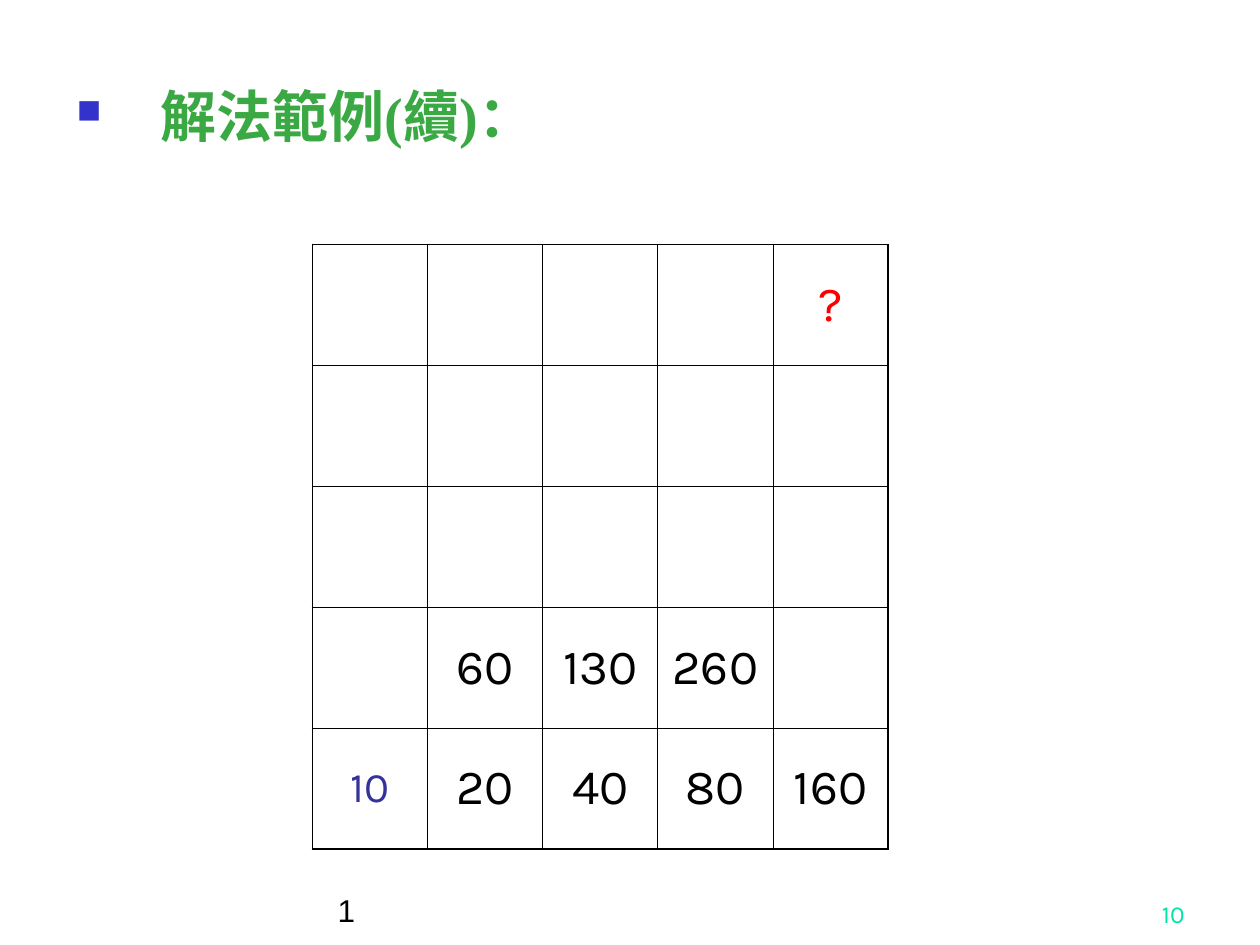
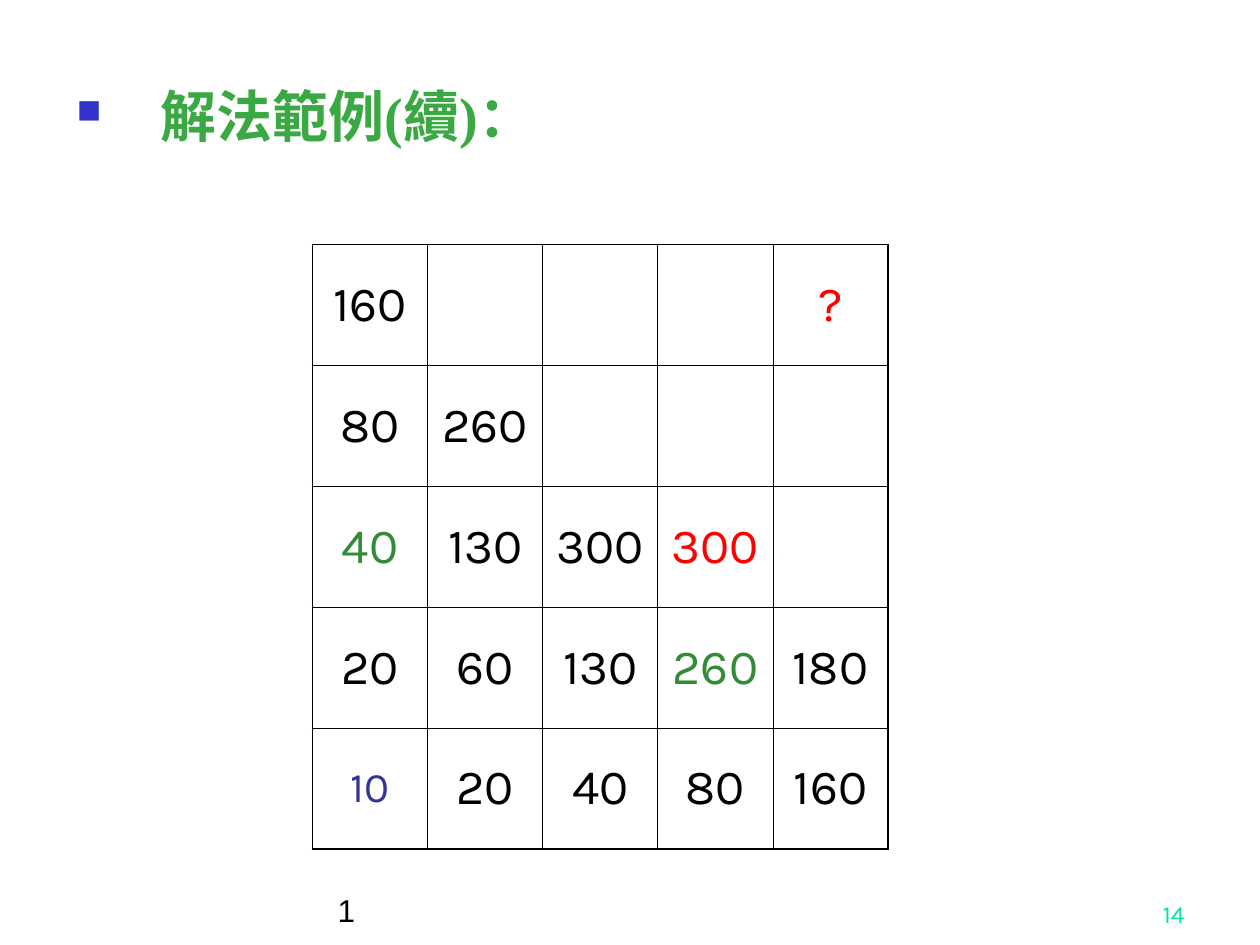
from lxml.etree import SubElement
from pptx import Presentation
from pptx.dml.color import RGBColor
from pptx.enum.text import MSO_ANCHOR, PP_ALIGN
from pptx.oxml.ns import qn
from pptx.util import Pt

BLACK = "000000"
RED = "FF0000"
GREEN = "318B37"
START_BLUE = "333399"
TITLE_GREEN = "3BA943"
BULLET_BLUE = "3333CC"
PAGE_MINT = "00E4A8"

TITLE = "解法範例(續)："
GRID_SIZE = 5
GRID_LEFT, GRID_TOP = 178.5, 139.7
COLUMN_WIDTH, ROW_HEIGHT = 65.8, 69.12
OUTER_LINE, INNER_LINE = 1.08, 0.45
FOOTER_TOP, FOOTER_HEIGHT = 498.2, 36

START_ROW = ["10", "20", "40", "80", "160"]
# Each step: page number, grid values, colours of marked cells by (row, column)
STEPS = [
    (
        "10",
        [
            ["", "", "", "", "?"],
            [""] * GRID_SIZE,
            [""] * GRID_SIZE,
            ["", "60", "130", "260", ""],
            START_ROW,
        ],
        {},
    ),
    (
        "14",
        [
            ["160", "", "", "", "?"],
            ["80", "260", "", "", ""],
            ["40", "130", "300", "300", ""],
            ["20", "60", "130", "260", "180"],
            START_ROW,
        ],
        {(2, 0): GREEN, (2, 3): RED, (3, 3): GREEN},
    ),
]


def rgb(hex_code):
    return RGBColor.from_string(hex_code)


def add_run(paragraph, text, font, size, color, bold=False):
    run = paragraph.add_run()
    run.text = text
    run.font.name = font
    run.font.size = Pt(size)
    run.font.bold = bold
    run.font.color.rgb = rgb(color)


def add_text_frame(slide, left, top, width, height, anchor):
    box = slide.shapes.add_textbox(Pt(left), Pt(top), Pt(width), Pt(height))
    frame = box.text_frame
    frame.word_wrap = True
    frame.vertical_anchor = anchor
    return frame


def add_title(slide):
    frame = add_text_frame(slide, 36.7, 43.2, 646.6, 459.4, MSO_ANCHOR.TOP)
    heading = frame.paragraphs[0]
    properties = heading._p.get_or_add_pPr()
    properties.set("marL", str(Pt(48)))
    properties.set("indent", str(Pt(-48)))
    bullet_color = SubElement(properties, qn("a:buClr"))
    SubElement(bullet_color, qn("a:srgbClr"), val=BULLET_BLUE)
    SubElement(properties, qn("a:buSzPct"), val="60000")
    SubElement(properties, qn("a:buChar"), char="■")
    add_run(heading, TITLE, "Times New Roman", 32, TITLE_GREEN, bold=True)


def set_borders(cell, row, column):
    """Draw a heavy line on the grid's outer edge and thin lines inside."""
    last = GRID_SIZE - 1
    properties = cell._tc.get_or_add_tcPr()
    edges = {
        "a:lnL": column == 0,
        "a:lnR": column == last,
        "a:lnT": row == 0,
        "a:lnB": row == last,
    }
    for tag, is_outer in edges.items():
        width = Pt(OUTER_LINE if is_outer else INNER_LINE)
        line = SubElement(properties, qn(tag), w=str(width))
        fill = SubElement(line, qn("a:solidFill"))
        SubElement(fill, qn("a:srgbClr"), val=BLACK)


def fill_cell(cell, value, color, size):
    cell.fill.background()
    cell.vertical_anchor = MSO_ANCHOR.MIDDLE
    if value:
        paragraph = cell.text_frame.paragraphs[0]
        paragraph.alignment = PP_ALIGN.CENTER
        add_run(paragraph, value, "Karla", size, color)


def add_grid(slide, values, marks):
    grid = slide.shapes.add_table(
        GRID_SIZE, GRID_SIZE, Pt(GRID_LEFT), Pt(GRID_TOP),
        Pt(GRID_SIZE * COLUMN_WIDTH), Pt(GRID_SIZE * ROW_HEIGHT),
    ).table
    grid.first_row = False
    grid.horz_banding = False
    start, goal = (GRID_SIZE - 1, 0), (0, GRID_SIZE - 1)
    colors = {start: START_BLUE, goal: RED, **marks}
    for row, row_values in enumerate(values):
        for column, value in enumerate(row_values):
            place = (row, column)
            cell = grid.cell(row, column)
            set_borders(cell, row, column)
            size = 24 if place == start else 28
            fill_cell(cell, value, colors.get(place, BLACK), size)


def add_footer(slide, page_number):
    chapter = add_text_frame(
        slide, 185.8, FOOTER_TOP, 390.2, FOOTER_HEIGHT, MSO_ANCHOR.BOTTOM)
    add_run(chapter.paragraphs[0], "1", "Arial", 18, BLACK)
    page = add_text_frame(
        slide, 534.2, FOOTER_TOP, 149.8, FOOTER_HEIGHT, MSO_ANCHOR.BOTTOM)
    page.paragraphs[0].alignment = PP_ALIGN.RIGHT
    add_run(page.paragraphs[0], page_number, "Karla", 14, PAGE_MINT)


def main():
    presentation = Presentation()
    presentation.slide_width = Pt(720)
    presentation.slide_height = Pt(540)
    blank = presentation.slide_layouts[6]
    for page_number, values, marks in STEPS:
        slide = presentation.slides.add_slide(blank)
        add_title(slide)
        add_grid(slide, values, marks)
        add_footer(slide, page_number)
    presentation.save("out.pptx")


if __name__ == "__main__":
    main()
